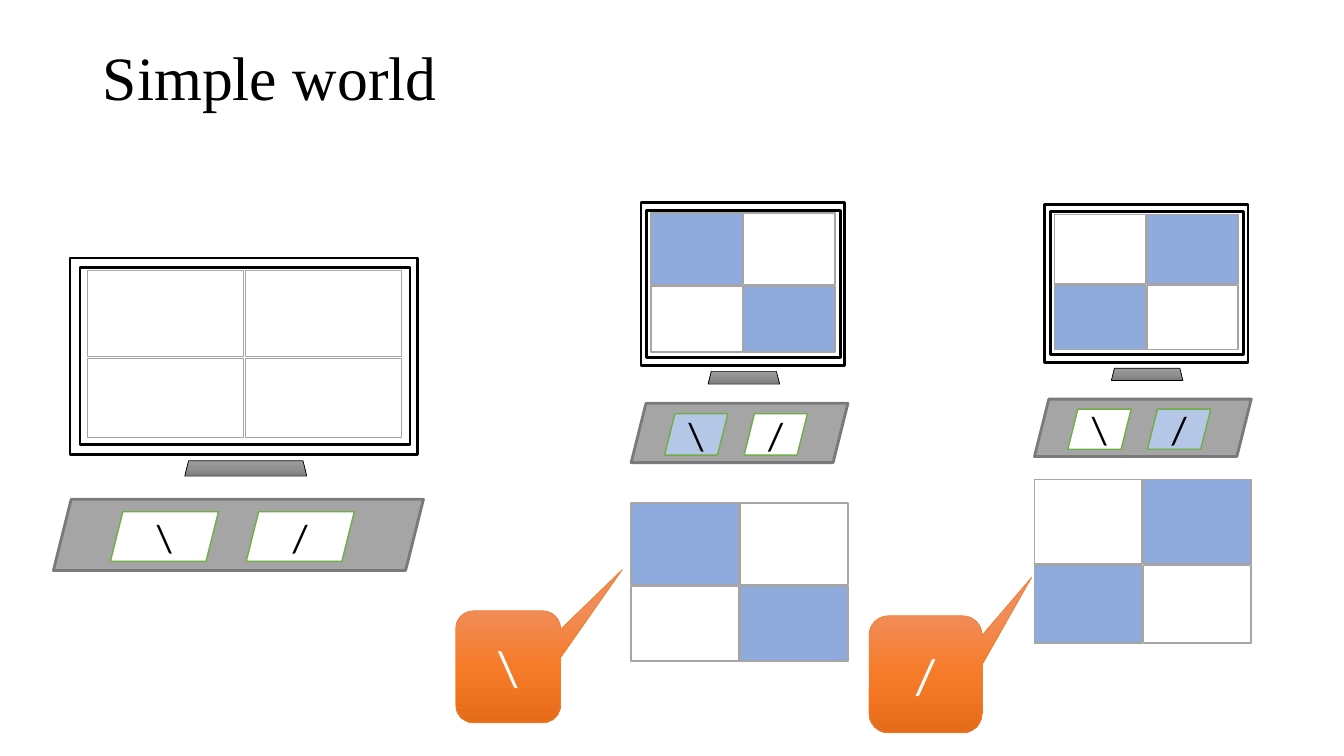
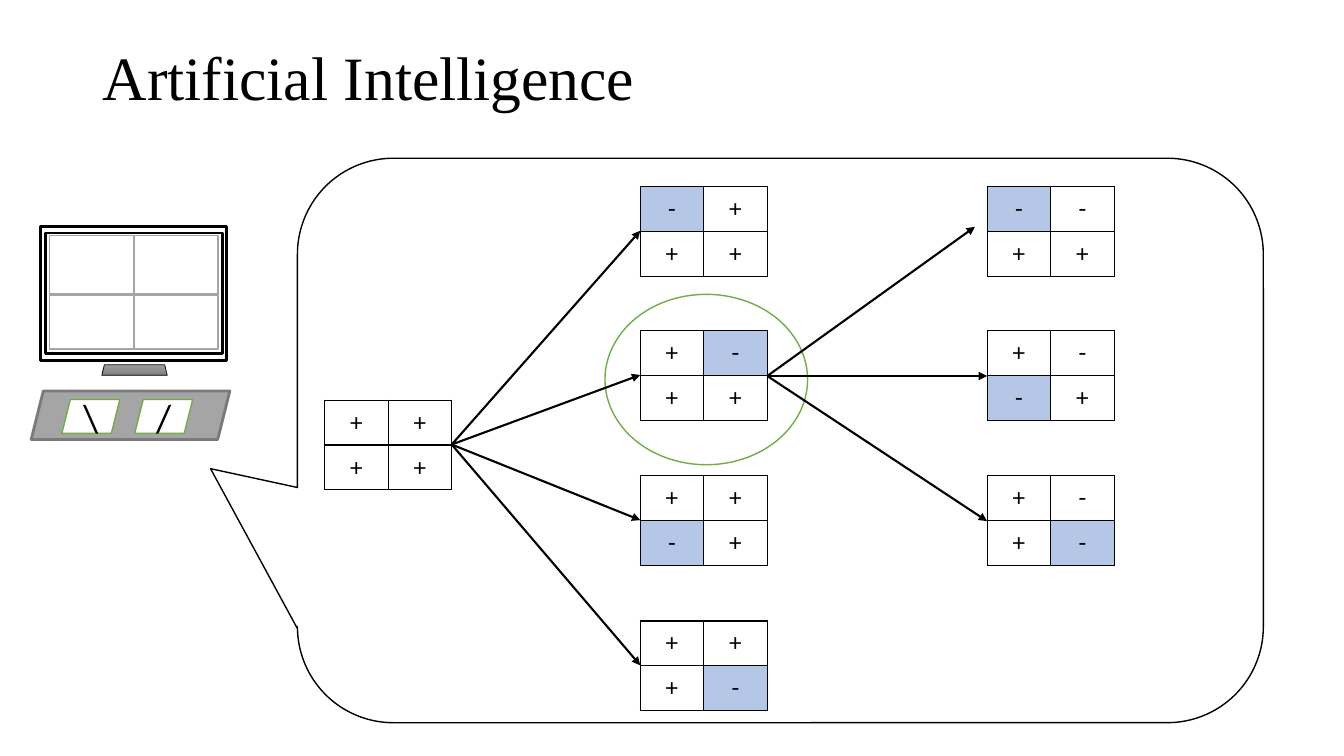
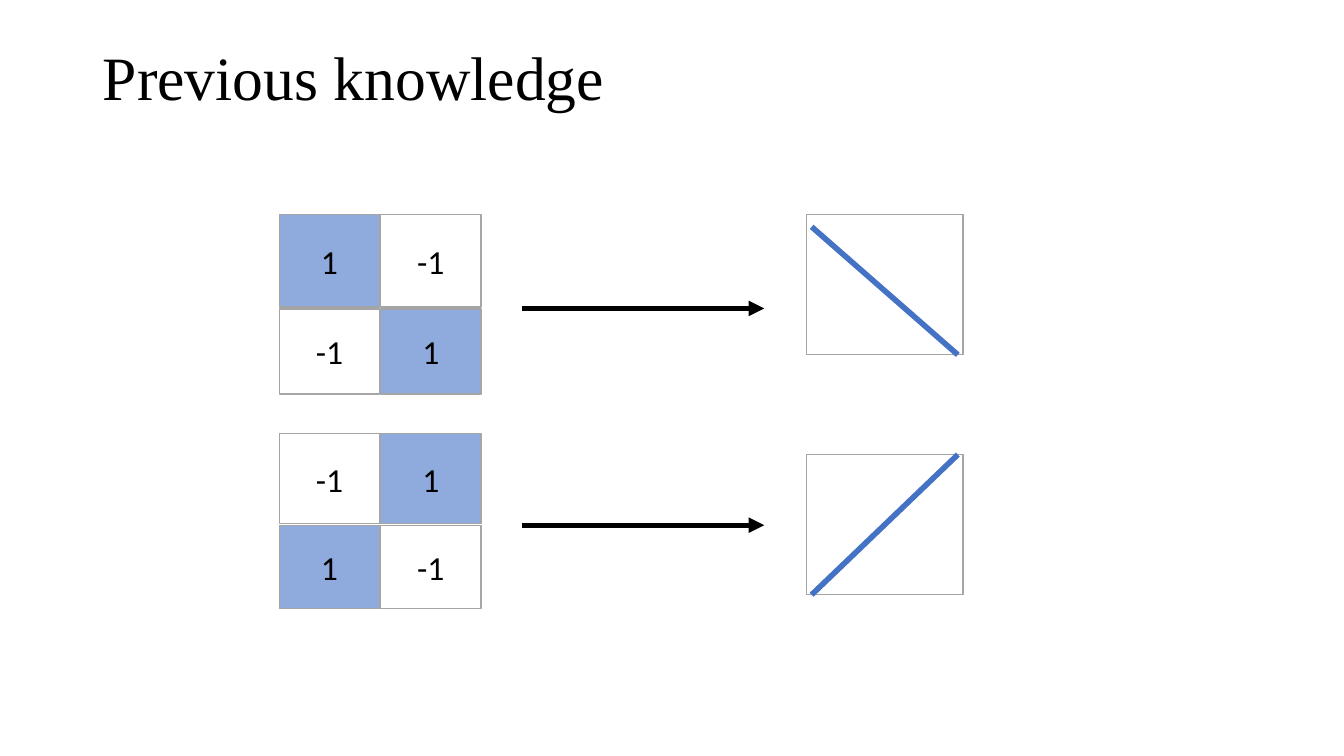
from dataclasses import dataclass

from lxml.etree import SubElement
from pptx import Presentation
from pptx.dml.color import RGBColor
from pptx.enum.shapes import MSO_CONNECTOR, MSO_SHAPE
from pptx.enum.text import MSO_ANCHOR, MSO_AUTO_SIZE, PP_ALIGN
from pptx.oxml.ns import qn
from pptx.util import Emu, Pt

SCALE = 9144  # EMU in one px, 100 px to the inch


# Colours, fonts and type sizes
@dataclass(frozen=True)
class Theme:
    black: str = "000000"
    white: str = "FFFFFF"
    gray: str = "A5A5A5"
    edge: str = "7A7A7A"
    green: str = "70AD47"
    blue: str = "8FAADC"
    pale: str = "B4C7E7"
    stroke: str = "4472C4"
    orange: str = "ED7D31"
    metal: tuple = ("9D9D9D", "909090", "7C7C7C")
    flame: tuple = ("F18C57", "F67B28", "E56C19")
    head: str = "Times New Roman"
    body: str = "Calibri"
    title: int = 44
    speech: int = 36
    key: int = 28
    digit: int = 24
    sign: int = 18


THEME = Theme()
LIT = {"\\": (0, 3), "/": (1, 2)}  # filled tiles of each diagonal


def px(*nums):
    return [Emu(round(n * SCALE)) for n in nums]


def color(code):
    return RGBColor.from_string(code)


def within(area, part):
    """Place a part, given in thousandths, inside an area."""
    x, y, w, h = area
    a, b, c, d = part
    return x + w * a / 1000, y + h * b / 1000, w * c / 1000, h * d / 1000


class Deck:
    def __init__(self, theme):
        self.theme = theme
        self.file = Presentation()
        self.file.slide_width, self.file.slide_height = px(1333, 750)
        self.slide = None

    def start(self, title):
        self.slide = self.file.slides.add_slide(self.file.slide_layouts[5])
        shape = self.slide.shapes.title
        shape.left, shape.top, shape.width, shape.height = px(92, 7, 1150, 145)
        frame = shape.text_frame
        frame.auto_size = MSO_AUTO_SIZE.NONE
        self.label(frame, title, self.theme.title, self.theme.black,
                   self.theme.head, PP_ALIGN.LEFT)
        frame.paragraphs[0].line_spacing = 0.9

    def label(self, frame, text, size, ink, face=None, align=PP_ALIGN.CENTER):
        frame.text = text
        frame.word_wrap = True
        frame.vertical_anchor = MSO_ANCHOR.MIDDLE
        para = frame.paragraphs[0]
        para.alignment = align
        para.font.name = face or self.theme.body
        para.font.size = Pt(size)
        para.font.color.rgb = color(ink)

    def blend(self, shape, codes):
        shape.fill.gradient()
        shape.fill.gradient_angle = 270
        stops = next(shape._element.spPr.iter(qn("a:gsLst")))
        stops.clear()
        for num, code in enumerate(codes):
            stop = SubElement(stops, qn("a:gs"), pos=str(num * 50000))
            SubElement(stop, qn("a:srgbClr"), val=code)

    def box(self, form, area, fill, line, width=1, text="", size=0, ink=None,
            home=None, adjust=()):
        shapes = self.slide.shapes if home is None else home
        shape = shapes.add_shape(form, *px(*area))
        shape.shadow.inherit = False
        for num, value in enumerate(adjust):
            shape.adjustments[num] = value
        if isinstance(fill, tuple):
            self.blend(shape, fill)
        else:
            shape.fill.solid()
            shape.fill.fore_color.rgb = color(fill)
        shape.line.color.rgb = color(line)
        shape.line.width = Pt(width)
        if text:
            self.label(shape.text_frame, text, size, ink or self.theme.black)

    def line(self, start, end, ink, width, arrow=True, home=None):
        shapes = self.slide.shapes if home is None else home
        link = shapes.add_connector(MSO_CONNECTOR.STRAIGHT, *px(*start, *end))
        link.line.color.rgb = color(ink)
        link.line.width = Pt(width)
        props = link._element.spPr
        SubElement(props, qn("a:effectLst"))
        if arrow:
            SubElement(props.find(qn("a:ln")), qn("a:tailEnd"), type="triangle")

    def group(self):
        return self.slide.shapes.add_group_shape().shapes

    def board(self, area, mark="", words=("", ""), home=None):
        """Two by two tiles, with those of one diagonal filled."""
        home = self.group() if home is None else home
        look = self.theme
        for num in range(4):
            row, col = divmod(num, 2)
            top, high = ((0, 515), (525, 475))[row]
            lit = num in LIT.get(mark, ())
            self.box(MSO_SHAPE.RECTANGLE, within(area, (col * 503, top, 497, high)),
                     look.blue if lit else look.white, look.gray,
                     text=words[0 if lit else 1], size=look.digit, home=home)

    def screen(self, area, mark=""):
        """Monitor with its stand and a panel of two keys."""
        home, look = self.group(), self.theme
        parts = (
            (MSO_SHAPE.RECTANGLE, (45, 0, 940, 628), look.white, look.black, 2),
            (MSO_SHAPE.PARALLELOGRAM, (0, 772, 1000, 228), look.gray, look.edge, 2),
            (MSO_SHAPE.RECTANGLE, (72, 29, 892, 567), look.white, look.black, 2),
            (MSO_SHAPE.TRAPEZOID, (355, 649, 330, 49), look.metal, look.black, 0.5),
        )
        for form, part, fill, line, width in parts:
            self.box(form, within(area, part), fill, line, width, home=home)
        for key, left in zip(LIT, (154, 521)):
            self.box(MSO_SHAPE.PARALLELOGRAM, within(area, (left, 812, 292, 159)),
                     look.pale if key == mark else look.white, look.green,
                     text=key, size=look.key, home=home)
        self.board(within(area, (92, 40, 848, 535)), mark, home=home)

    def speech(self, area, text, tip):
        look = self.theme
        self.box(MSO_SHAPE.ROUNDED_RECTANGULAR_CALLOUT, area, look.flame,
                 look.orange, 0.5, text, look.speech, look.white,
                 adjust=(*tip, 0.17))

    def border(self, cell):
        props = cell._tc.get_or_add_tcPr()
        for side in ("lnL", "lnR", "lnT", "lnB"):
            edge = SubElement(props, qn(f"a:{side}"), w=str(Pt(1)))
            fill = SubElement(edge, qn("a:solidFill"))
            SubElement(fill, qn("a:srgbClr"), val=self.theme.black)

    def state(self, spot, signs, lit=None):
        """Table of four signs, with the newest move filled."""
        wide, high = px(126, 89)
        table = self.slide.shapes.add_table(2, 2, *px(*spot), wide, high).table
        table.first_row = table.horz_banding = False
        for num in range(2):
            table.columns[num].width = wide // 2
            table.rows[num].height = high // 2
        for num, sign in enumerate(signs):
            cell = table.cell(*divmod(num, 2))
            self.border(cell)
            cell.fill.solid()
            cell.fill.fore_color.rgb = color(
                self.theme.pale if num == lit else self.theme.white)
            cell.vertical_anchor = MSO_ANCHOR.MIDDLE
            self.label(cell.text_frame, sign, self.theme.sign, self.theme.black)


def world(deck):
    deck.start("Simple world")
    deck.screen((53, 256, 367, 310))
    deck.screen((1026, 203, 215, 250), "/")
    deck.screen((626, 201, 215, 258), "\\")
    # Patterns and what they are called
    deck.board((1026, 476, 215, 162), "/")
    deck.board((626, 499, 215, 157), "\\")
    deck.speech((862, 611, 112, 116), "/", (0.94, -0.83))
    deck.speech((452, 606, 104, 111), "\\", (1.09, -0.87))


def tree(deck):
    look = deck.theme
    deck.start("Artificial Intelligence")
    deck.screen((31, 225, 197, 211))
    deck.box(MSO_SHAPE.ROUNDED_RECTANGULAR_CALLOUT, (295, 157, 958, 560),
             look.white, look.black, adjust=(-0.59, 0.05, 0.17))
    deck.box(MSO_SHAPE.OVAL, (600, 292, 201, 169), look.white, look.green)
    # States by step: start, first move, second move
    tops = [185 + num * 431 // 3 for num in range(4)]
    deck.state((322, 397), "++++")
    for num, top in enumerate(tops):
        signs = "".join("-" if spot == num else "+" for spot in range(4))
        deck.state((635, top), signs, num)
        deck.line((448, 441), (635, top + 44), look.black, 1.5)
    ends = ((967, 225), (979, 373), (979, 517))
    moves = (("--++", 0), ("+--+", 2), ("+-+-", 3))
    for top, end, (signs, lit) in zip(tops, ends, moves):
        deck.state((979, top), signs, lit)
        deck.line((761, 373), end, look.black, 1.5)


def rules(deck):
    look = deck.theme
    deck.start("Previous knowledge")
    rows = (
        ("\\", (277, 213, 200, 178), 306, 213, (805, 225), (950, 352)),
        ("/", (277, 430, 200, 174), 521, 451, (950, 451), (805, 590)),
    )
    for mark, area, level, top, start, end in rows:
        deck.board(area, mark, ("1", "-1"))
        deck.line((518, level), (758, level), look.black, 3.75)
        home = deck.group()
        deck.box(MSO_SHAPE.RECTANGLE, (800, top, 155, 139), look.white,
                 look.gray, home=home)
        deck.line(start, end, look.stroke, 4, arrow=False, home=home)


def main():
    deck = Deck(THEME)
    for build in (world, tree, rules):
        build(deck)
    deck.file.save("out.pptx")


if __name__ == "__main__":
    main()
